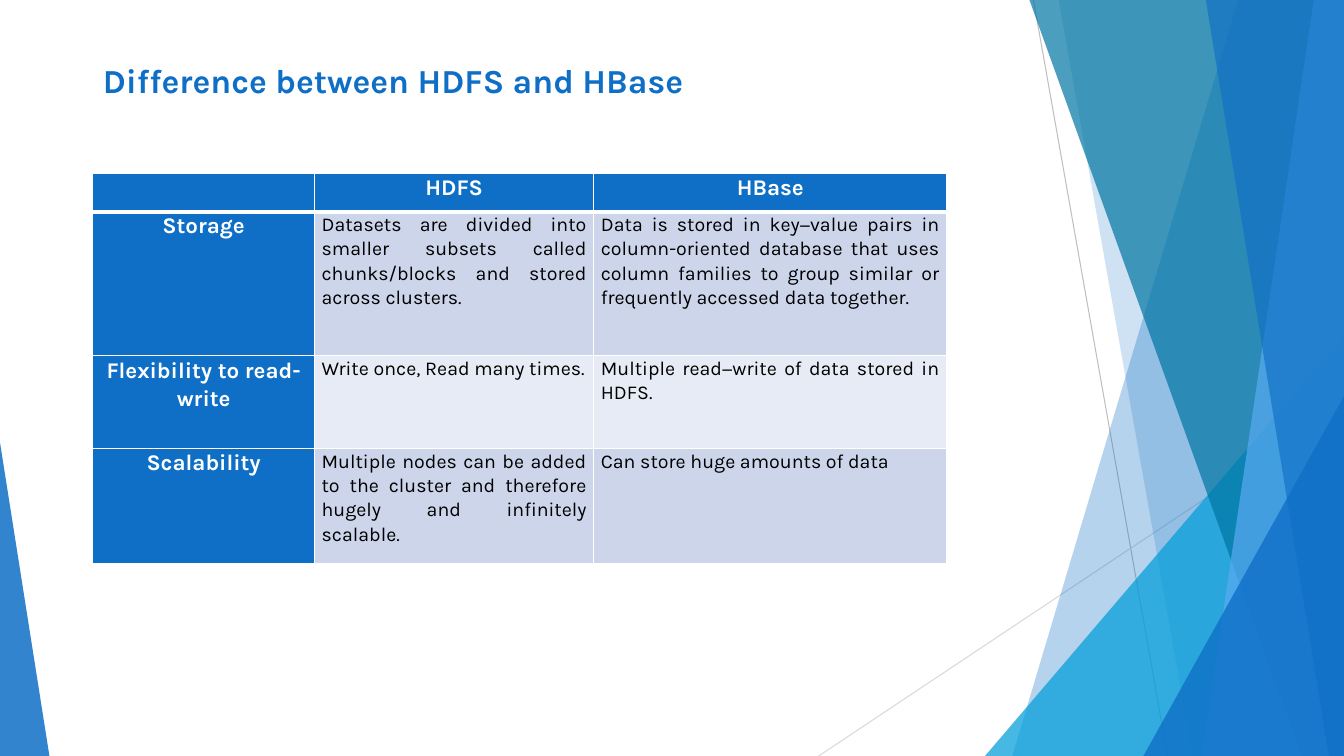
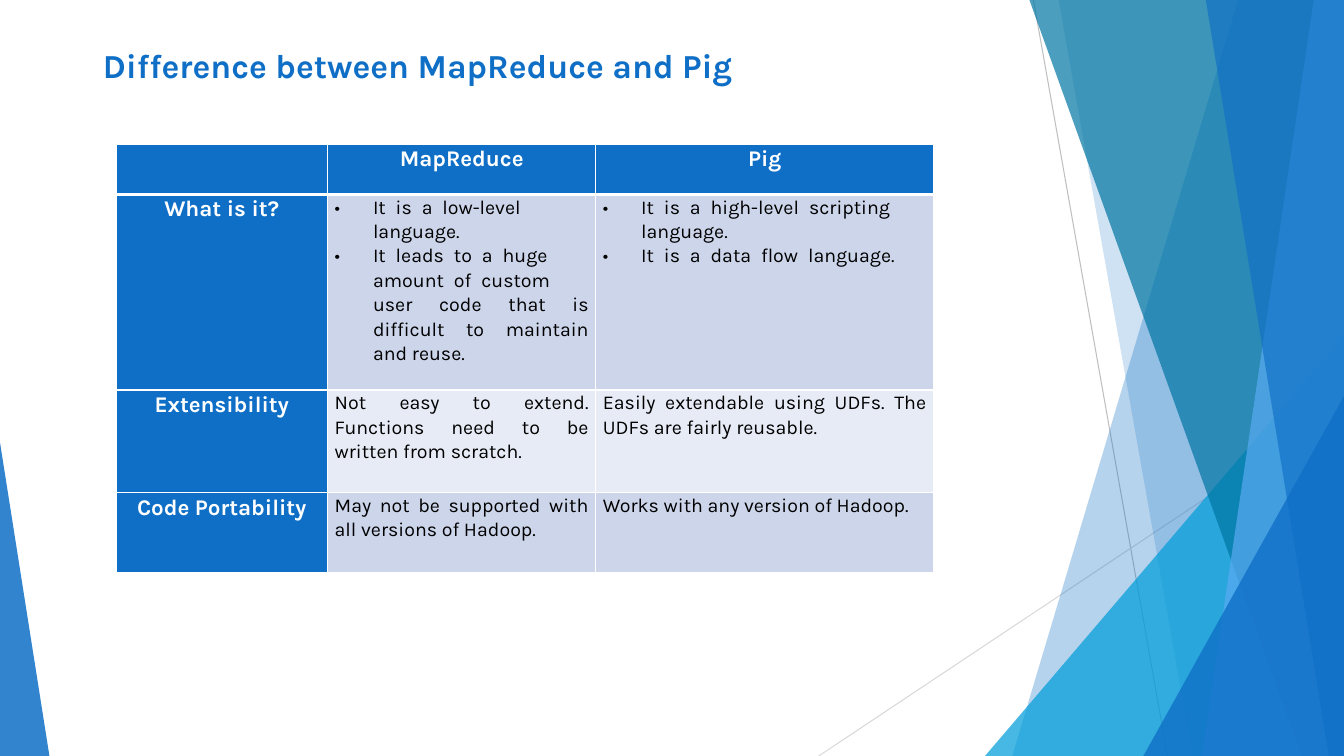
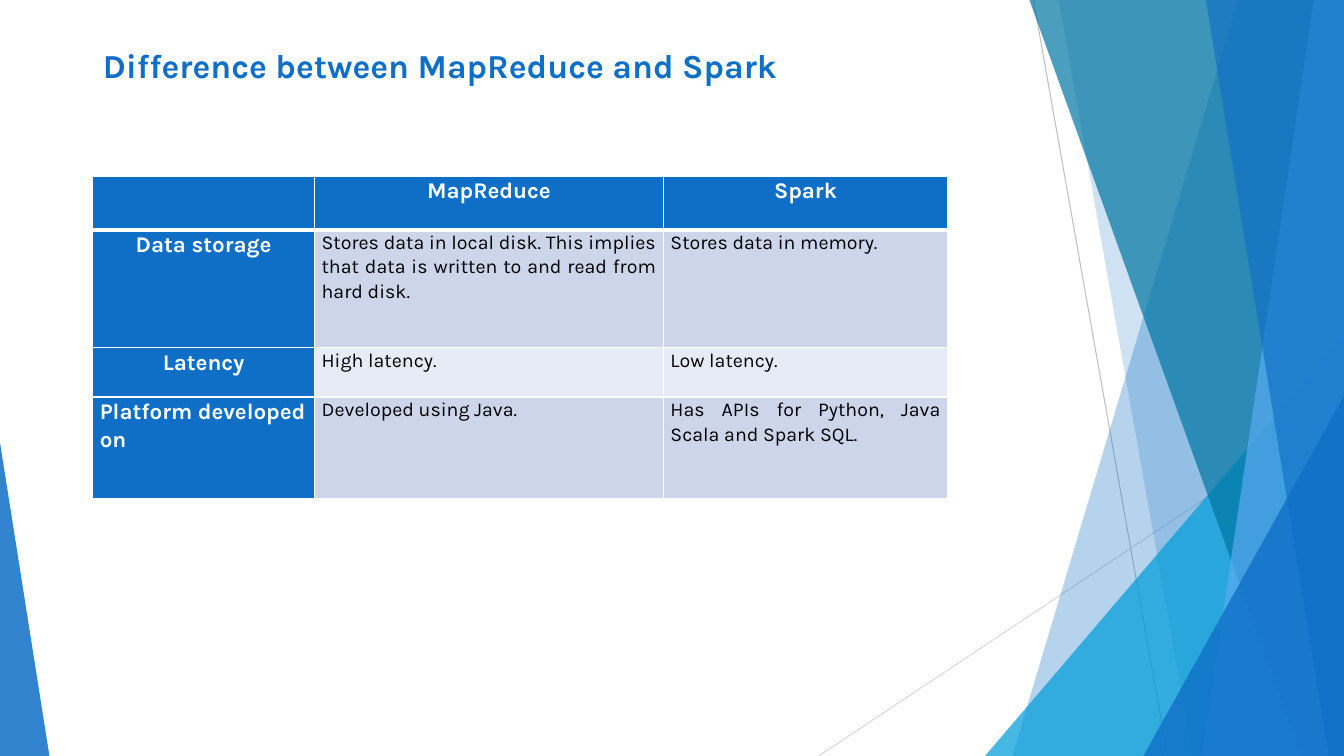
from lxml.etree import SubElement
from pptx import Presentation
from pptx.dml.color import RGBColor
from pptx.enum.shapes import MSO_CONNECTOR, MSO_SHAPE
from pptx.enum.text import MSO_ANCHOR, MSO_AUTO_SIZE, PP_ALIGN
from pptx.oxml.ns import qn
from pptx.util import Inches, Pt

WIDTH, HEIGHT = 13.33, 7.5
FONT = "Karla"
EN_SPACE = chr(0x2002)
BLUE = RGBColor(0x0F, 0x6F, 0xC6)
CYAN = RGBColor(0x00, 0x9D, 0xD9)
TEAL = RGBColor(0x00, 0x76, 0xA3)
SKY = RGBColor(0x59, 0xAA, 0xF2)
GREY = RGBColor(0xBF, 0xBF, 0xBF)
PALE_GREY = RGBColor(0xD9, 0xD9, 0xD9)
BAND_DARK = RGBColor(0xCC, 0xD5, 0xEA)
BAND_LIGHT = RGBColor(0xE7, 0xEB, 0xF5)
WHITE = RGBColor(0xFF, 0xFF, 0xFF)
BLACK = RGBColor(0x00, 0x00, 0x00)

TITLE_FONT = {"name": FONT, "size": Pt(24), "bold": True}
LABEL_FONT = {"name": FONT, "size": Pt(16), "bold": True}
BODY_FONT = {"name": FONT, "size": Pt(14), "bold": False}
CELL_FORMAT = {
    "margin_left": Inches(0.07),
    "margin_right": Inches(0.07),
    "margin_top": 0,
    "margin_bottom": 0,
}
TITLE_FRAME = {
    "word_wrap": True,
    "auto_size": MSO_AUTO_SIZE.NONE,
    "vertical_anchor": MSO_ANCHOR.TOP,
}


def set_all(target, values):
    """Set each attribute of target from a dict of values."""
    for name, value in values.items():
        setattr(target, name, value)


def spaced(text):
    """Widen the gaps between the words of a text to en spaces."""
    return text.replace(" ", EN_SPACE)


def paint(sp, color, percent):
    """Fill a shape with a see-through colour, without outline or shadow."""
    sp.shadow.inherit = False
    sp.fill.solid()
    sp.fill.fore_color.rgb = color
    sp.line.fill.background()
    clr = sp.element.spPr.find(".//" + qn("a:srgbClr"))
    SubElement(clr, qn("a:alpha"), val=str(percent * 1000))


def add_line(shapes, start, end, color):
    """Draw a thin straight line."""
    ends = [Inches(v) for v in (*start, *end)]
    line = shapes.add_connector(MSO_CONNECTOR.STRAIGHT, *ends)
    line.line.color.rgb = color
    line.line.width = Pt(0.75)
    SubElement(line.element.spPr, qn("a:effectLst"))


def add_shard(shapes, top_x, bottom_x, color, percent):
    """Draw a full-height shard that reaches the right edge."""
    corners = [(top_x, 0), (WIDTH, 0), (WIDTH, HEIGHT), (bottom_x, HEIGHT)]
    points = [(Inches(x), Inches(y)) for x, y in corners]
    builder = shapes.build_freeform(*points[0])
    builder.add_line_segments(points[1:], close=True)
    paint(builder.convert_to_shape(), color, percent)


def add_triangle(shapes, left, top, width, apex, color, percent):
    """Draw a triangle that stands on the bottom edge."""
    box = [Inches(v) for v in (left, top, width, HEIGHT - top)]
    sp = shapes.add_shape(MSO_SHAPE.ISOSCELES_TRIANGLE, *box)
    sp.adjustments[0] = apex
    paint(sp, color, percent)


def add_backdrop(s):
    """Draw the shared decoration and move it to the slide's layout."""
    layout = s.slide_layout
    for ph in list(layout.placeholders)[1:]:
        layout.shapes.element.remove(ph.element)
    shapes = s.shapes
    add_line(shapes, (10.25, 0), (11.58, HEIGHT), GREY)
    add_line(shapes, (WIDTH, 4.03), (8.12, HEIGHT), PALE_GREY)
    add_shard(shapes, 12.28, 10.04, BLUE, 30)
    add_shard(shapes, 10.5, 11.83, BLUE, 20)
    add_triangle(shapes, 9.77, 3.33, 3.56, 1, CYAN, 72)
    add_shard(shapes, 10.21, 12.91, TEAL, 70)
    add_shard(shapes, 13.03, 11.92, SKY, 70)
    add_shard(shapes, 11.96, 13.18, BLUE, 65)
    add_triangle(shapes, 11.34, 3.93, 1.99, 1, BLUE, 80)
    add_triangle(shapes, 0, 4.39, 0.49, 0, BLUE, 85)
    drawn = [sp for sp in shapes if not sp.is_placeholder]
    for position, sp in enumerate(drawn, start=2):
        layout.shapes.element.insert(position, sp.element)


def set_title(s, text, top):
    """Place and fill the title placeholder."""
    title = s.shapes.title
    box = {"left": 0.92, "top": top, "width": 11.5, "height": 0.4}
    set_all(title, {name: Inches(v) for name, v in box.items()})
    tf = title.text_frame
    set_all(tf, TITLE_FRAME)
    p = tf.paragraphs[0]
    p.alignment = PP_ALIGN.LEFT
    r = p.add_run()
    r.text = text
    set_all(r.font, TITLE_FONT)
    r.font.color.rgb = BLUE


def add_bullet(p):
    """Give a paragraph a round bullet with a hanging indent."""
    pPr = p._p.get_or_add_pPr()
    pPr.set("marL", str(Inches(0.38)))
    pPr.set("indent", str(-Inches(0.38)))
    SubElement(pPr, qn("a:buFont"), typeface=FONT)
    SubElement(pPr, qn("a:buChar"), char="•")


def set_borders(cell, top, bottom):
    """Give a cell white borders with the given top and bottom widths."""
    tcPr = cell._tc.get_or_add_tcPr()
    for side, width in {"L": 1, "R": 1, "T": top, "B": bottom}.items():
        ln = SubElement(tcPr, qn("a:ln" + side), w=str(Pt(width)))
        fill = SubElement(ln, qn("a:solidFill"))
        SubElement(fill, qn("a:srgbClr"), val=str(WHITE))


def fill_cell(cell, content, alignment, font, color):
    """Write one text, or a list of bulleted texts, into a cell."""
    bulleted = isinstance(content, list)
    tf = cell.text_frame
    for i, text in enumerate(content if bulleted else [content]):
        p = tf.add_paragraph() if i else tf.paragraphs[0]
        p.alignment = alignment
        p.line_spacing = 1.07
        if bulleted:
            add_bullet(p)
        r = p.add_run()
        r.text = text
        set_all(r.font, font)
        r.font.color.rgb = color


def add_comparison(s, left, top, widths, heights, rows, left_labels=()):
    """Add a table with a header row, a label column and banded rows."""
    box = [Inches(v) for v in (left, top, sum(widths), sum(heights))]
    table = s.shapes.add_table(len(rows), len(widths), *box).table
    table.horz_banding = False
    for column, width in zip(table.columns, widths):
        column.width = Inches(width)
    for i, (row, height) in enumerate(zip(rows, heights)):
        table.rows[i].height = Inches(height)
        band = BAND_DARK if i % 2 else BAND_LIGHT
        for j, content in enumerate(row):
            cell = table.cell(i, j)
            is_label = i == 0 or j == 0
            set_borders(cell, 3 if i == 1 else 1, 3 if i == 0 else 1)
            set_all(cell, CELL_FORMAT)
            cell.fill.solid()
            cell.fill.fore_color.rgb = BLUE if is_label else band
            if not is_label:
                fill_cell(cell, content, PP_ALIGN.JUSTIFY, BODY_FONT, BLACK)
            elif content:
                align = PP_ALIGN.LEFT if content in left_labels else PP_ALIGN.CENTER
                fill_cell(cell, content, align, LABEL_FONT, WHITE)


def add_hbase_slide(s):
    """Compare HDFS and HBase."""
    set_title(s, "Difference between HDFS and HBase", 0.54)
    rows = [
        (None, "HDFS", "HBase"),
        ("Storage",
         "Datasets are divided into smaller subsets called chunks/blocks "
         "and stored across clusters.",
         "Data is stored in key−value pairs in column-oriented database that uses "
         "column families to group similar or frequently accessed data together."),
        ("Flexibility to read-write",
         "Write once, Read many times.",
         "Multiple read−write of data stored in HDFS."),
        ("Scalability",
         "Multiple nodes can be added to the cluster and therefore hugely "
         "and infinitely scalable.",
         "Can store huge amounts of data"),
    ]
    add_comparison(s, 0.92, 1.72, (2.2, 2.77, 3.5), (0.38, 1.43, 0.92, 1.14), rows)


def add_pig_slide(s):
    """Compare MapReduce and Pig."""
    set_title(s, "Difference between MapReduce and Pig", 0.4)
    rows = [
        (None, "MapReduce", "Pig"),
        ("What is it?",
         [spaced("It is a low-level language."),
          spaced("It leads to a huge amount of custom user")
          + " code that is difficult to maintain and reuse."],
         [spaced("It is a high-level scripting language."),
          spaced("It is a data flow language.")]),
        ("Extensibility",
         "Not easy to extend. Functions need to be written from scratch.",
         "Easily extendable using UDFs. The UDFs are fairly reusable."),
        ("Code Portability",
         "May not be supported with all versions of Hadoop.",
         "Works with any version of Hadoop."),
    ]
    add_comparison(s, 1.15, 1.43, (2.1, 2.66, 3.35), (0.5, 1.94, 1.02, 0.79), rows)


def add_spark_slide(s):
    """Compare MapReduce and Spark."""
    set_title(s, "Difference between MapReduce and Spark", 0.4)
    rows = [
        (None, "MapReduce", "Spark"),
        ("Data storage",
         "Stores data in local disk. This implies that data is written to "
         "and read from hard disk.",
         "Stores data in memory."),
        ("Latency", "High latency.", "Low latency."),
        ("Platform developed on",
         "Developed using Java.",
         "Has APIs for Python, Java Scala and Spark SQL."),
    ]
    add_comparison(s, 0.92, 1.75, (2.2, 3.46, 2.82), (0.53, 1.17, 0.49, 1.01), rows,
                   left_labels=("Platform developed on",))


def main():
    """Build and save the presentation."""
    prs = Presentation()
    prs.slide_width = Inches(WIDTH)
    prs.slide_height = Inches(HEIGHT)
    layout = prs.slide_layouts[5]
    for i, build in enumerate((add_hbase_slide, add_pig_slide, add_spark_slide)):
        s = prs.slides.add_slide(layout)
        if i == 0:
            add_backdrop(s)
        build(s)
    prs.save("out.pptx")


if __name__ == "__main__":
    main()
